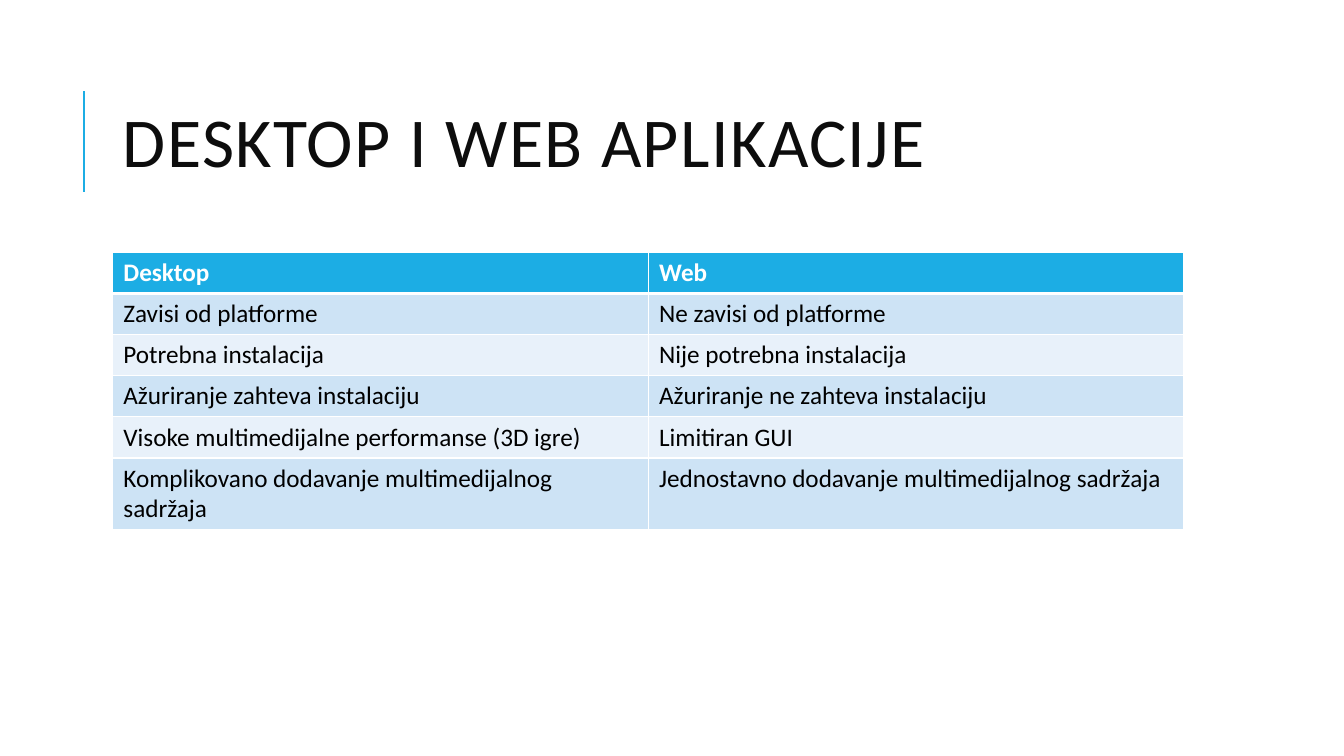
from dataclasses import dataclass

from lxml import etree
from pptx import Presentation
from pptx import util as u
from pptx.dml.color import RGBColor
from pptx.enum import shapes, text
from pptx.oxml.ns import qn


@dataclass(frozen=True)
class Theme:
    font: str = "Calibri"
    accent: str = "1CADE4"
    title: str = "0D0D0D"
    body: str = "000000"
    white: str = "FFFFFF"
    bands: tuple[str, str] = ("CDE3F5", "E8F1FA")
    title_size: float = 50
    table_size: float = 18
    border: float = 1
    header_border: float = 3


@dataclass(frozen=True)
class Comparison:
    desktop: str
    web: str


THEME = Theme()
LEFT, WIDTH = u.Cm(2.84), u.Cm(27)
ROW_HEIGHT = u.Cm(1.03)
COMPARISONS = [
    Comparison("Desktop", "Web"),
    Comparison("Zavisi od platforme", "Ne zavisi od platforme"),
    Comparison("Potrebna instalacija", "Nije potrebna instalacija"),
    Comparison("Ažuriranje zahteva instalaciju", "Ažuriranje ne zahteva instalaciju"),
    Comparison("Visoke multimedijalne performanse (3D igre)", "Limitiran GUI"),
    Comparison(
        "Komplikovano dodavanje multimedijalnog sadržaja",
        "Jednostavno dodavanje multimedijalnog sadržaja",
    ),
]


def add_run(paragraph, words: str, size: float, color: str, bold: bool = False):
    run = paragraph.add_run()
    run.text = words
    run.font.name = THEME.font
    run.font.size = u.Pt(size)
    run.font.bold = bold
    run.font.color.rgb = RGBColor.from_string(color)
    return run


def add_title(slide, words: str) -> None:
    title = slide.shapes.title
    title.left, title.top, title.width, title.height = LEFT, u.Cm(1.63), WIDTH, u.Cm(4.17)
    frame = title.text_frame
    frame.word_wrap = True
    frame.auto_size = text.MSO_AUTO_SIZE.NONE
    frame.vertical_anchor = text.MSO_ANCHOR.MIDDLE
    paragraph = frame.paragraphs[0]
    paragraph.alignment = text.PP_ALIGN.LEFT
    paragraph.line_spacing = 0.8
    run = add_run(paragraph, words, THEME.title_size, THEME.title)
    run.font._element.set("spc", "100")


def add_accent_line(slide) -> None:
    x = u.Cm(2.12)
    line = slide.shapes.add_connector(shapes.MSO_CONNECTOR.STRAIGHT, x, u.Cm(4.83), x, u.Cm(2.29))
    line.line.color.rgb = RGBColor.from_string(THEME.accent)
    line.line.width = u.Pt(1.5)
    etree.SubElement(line._element.spPr, qn("a:effectLst"))


def add_border(cell, side: str, width: float) -> None:
    properties = cell._tc.get_or_add_tcPr()
    border = etree.SubElement(properties, qn(f"a:{side}"), w=str(u.Pt(width)))
    fill = etree.SubElement(border, qn("a:solidFill"))
    etree.SubElement(fill, qn("a:srgbClr"), val=THEME.white)


def fill_cell(cell, words: str, row: int) -> None:
    header = row == 0
    cell.margin_left = cell.margin_right = u.Cm(0.27)
    cell.margin_top = cell.margin_bottom = u.Cm(0.13)
    widths = {
        "lnL": THEME.border,
        "lnR": THEME.border,
        "lnT": THEME.header_border if row == 1 else THEME.border,
        "lnB": THEME.header_border if header else THEME.border,
    }
    for side, width in widths.items():
        add_border(cell, side, width)
    cell.fill.solid()
    color = THEME.accent if header else THEME.bands[(row - 1) % 2]
    cell.fill.fore_color.rgb = RGBColor.from_string(color)
    add_run(
        cell.text_frame.paragraphs[0],
        words,
        THEME.table_size,
        THEME.white if header else THEME.body,
        header,
    )


def add_comparison_table(slide, comparisons: list[Comparison]) -> None:
    count = len(comparisons)
    table = slide.shapes.add_table(
        count, 2, LEFT, u.Cm(6.36), WIDTH, ROW_HEIGHT * count
    ).table
    for row, comparison in enumerate(comparisons):
        table.rows[row].height = ROW_HEIGHT
        for column, words in enumerate((comparison.desktop, comparison.web)):
            fill_cell(table.cell(row, column), words, row)


def main() -> None:
    presentation = Presentation()
    presentation.slide_width, presentation.slide_height = u.Cm(33.87), u.Cm(19.05)
    slide = presentation.slides.add_slide(presentation.slide_layouts[5])
    add_accent_line(slide)
    add_title(slide, "DESKTOP I WEB APLIKACIJE")
    add_comparison_table(slide, COMPARISONS)
    presentation.save("out.pptx")


if __name__ == "__main__":
    main()
